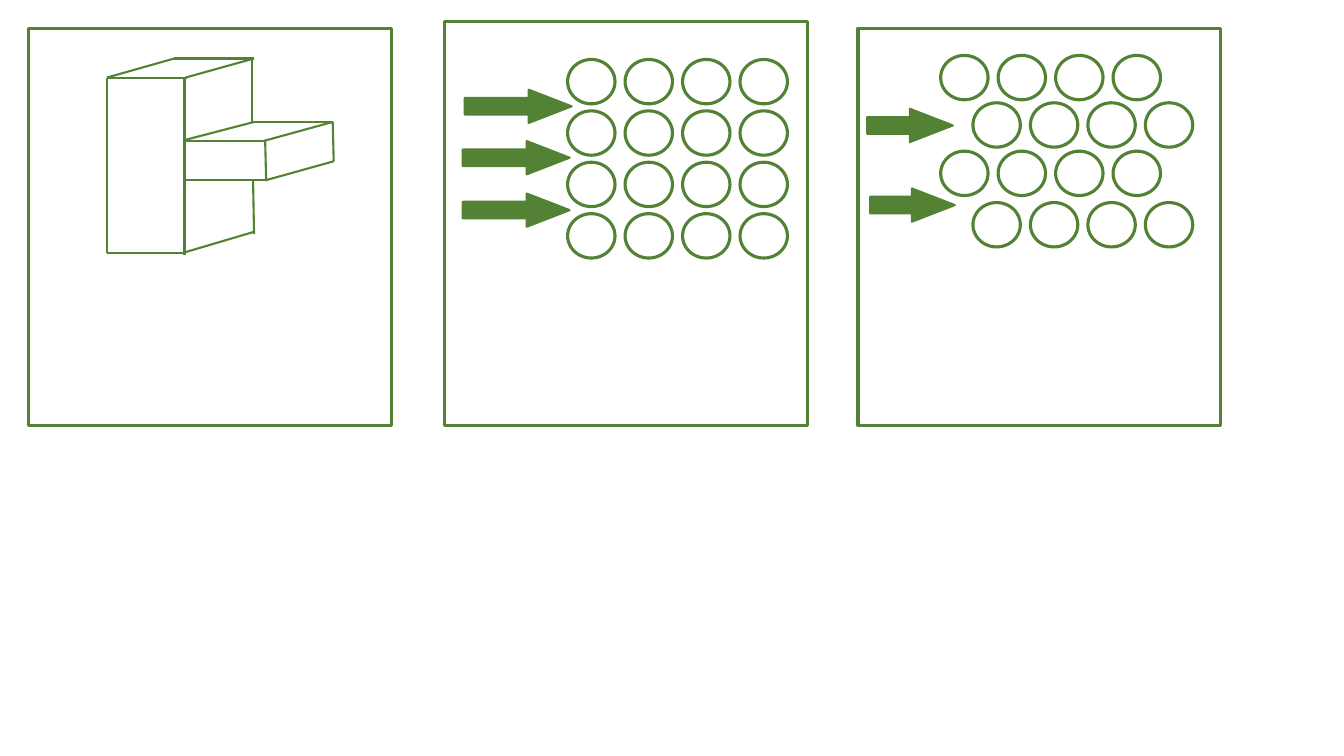
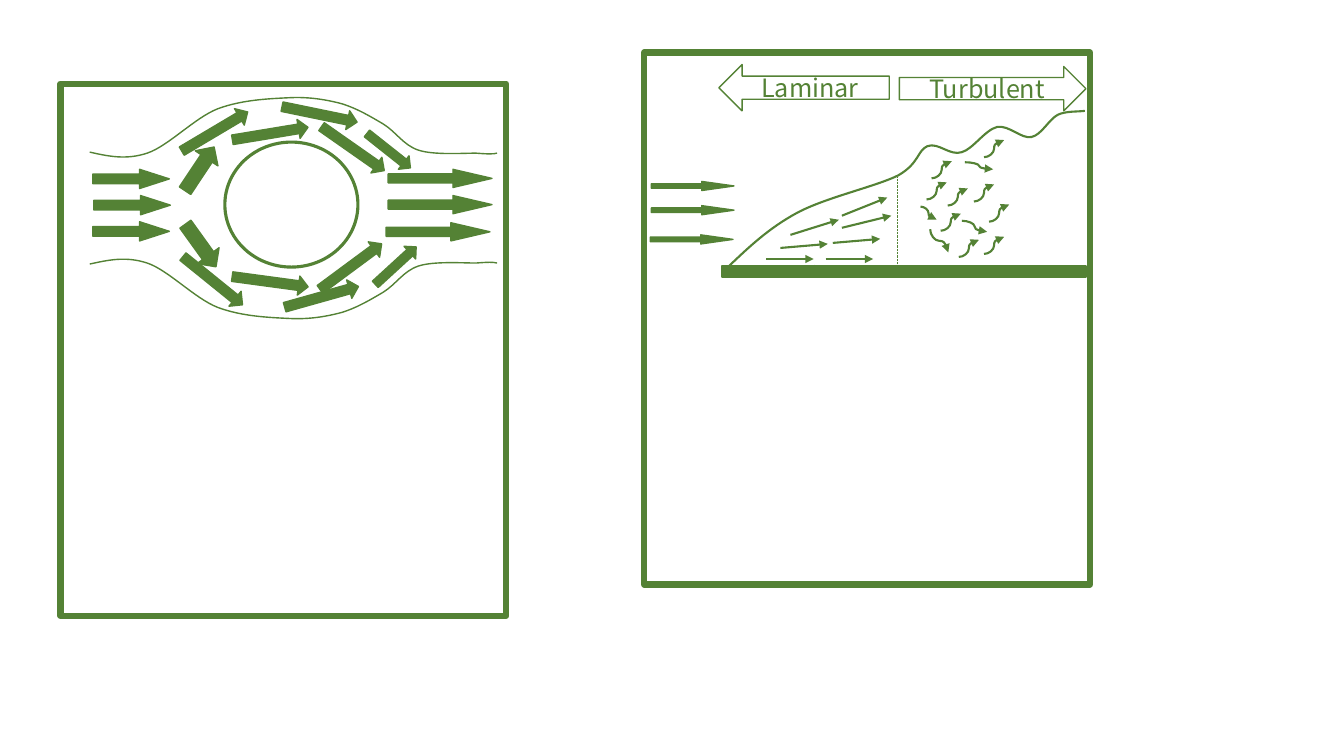
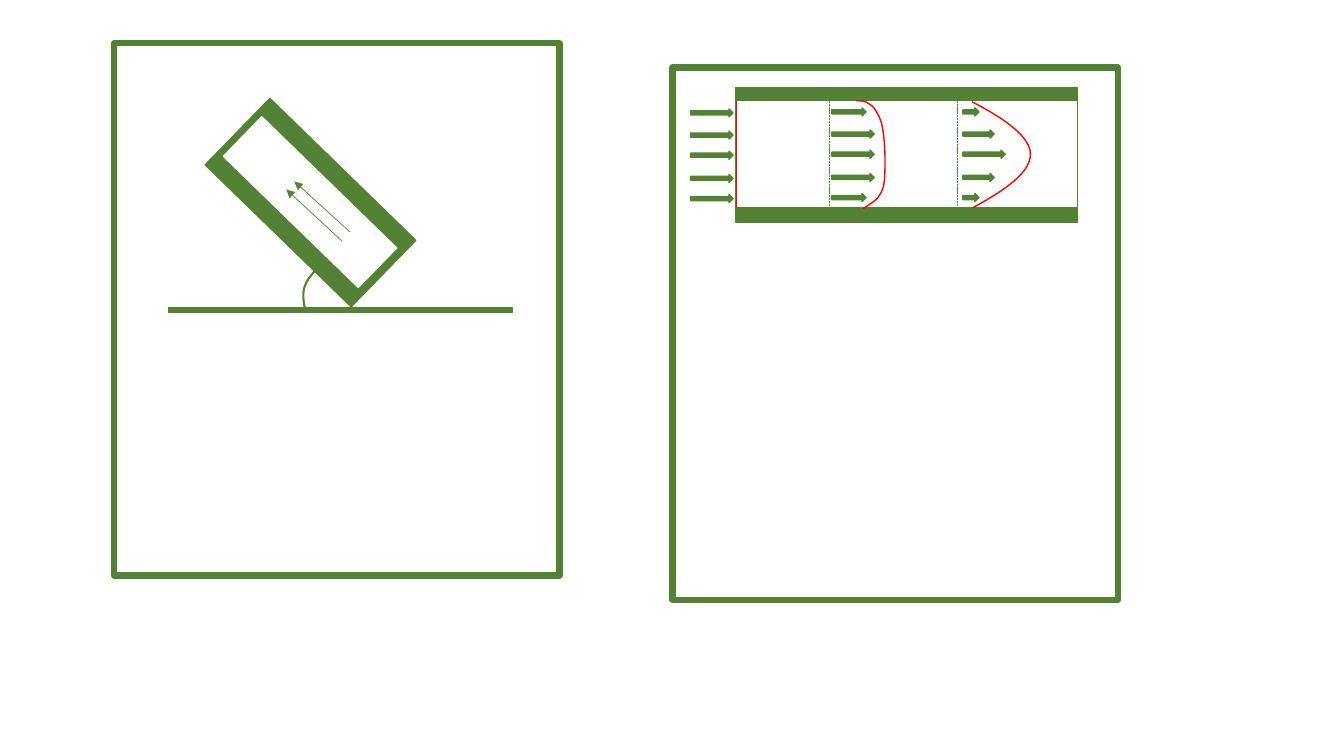
import pptx
import pptx.dml.color
import pptx.enum.dml
import pptx.enum.shapes
import pptx.enum.text
import pptx.oxml
import pptx.oxml.ns
import pptx.util
import lxml.etree

Inches = pptx.util.Inches
RGBColor = pptx.dml.color.RGBColor
SHAPE = pptx.enum.shapes.MSO_SHAPE
CONNECTOR = pptx.enum.shapes.MSO_CONNECTOR
DASH = pptx.enum.dml.MSO_LINE
qn = pptx.oxml.ns.qn

GREEN = RGBColor(0x54, 0x82, 0x35)
RED = RGBColor(0xFF, 0x00, 0x00)
WHITE = RGBColor(0xFF, 0xFF, 0xFF)
FONT = "Noto Sans CJK KR"

TUBE_WIDTH, TUBE_HEIGHT, TUBE_PITCH = 0.47, 0.44, 0.57
LARGE_PANEL = (4.42, 5.28)


def add_box(slide, kind, left, top, width, height, fill=WHITE, line=GREEN,
            weight=1, rotation=0, adjustments=()):
    shape = slide.shapes.add_shape(
        kind, Inches(left), Inches(top), Inches(width), Inches(height))
    shape.shadow.inherit = False
    shape.fill.solid()
    shape.fill.fore_color.rgb = fill
    shape.line.color.rgb = line
    shape.line.width = pptx.util.Pt(weight)
    shape.rotation = rotation
    for index, value in enumerate(adjustments):
        shape.adjustments[index] = value
    return shape


def add_panel(slide, left, top, width, height, weight):
    add_box(slide, SHAPE.RECTANGLE, left, top, width, height, weight=weight)


def add_block_arrow(slide, left, top, width, height, rotation=0, head=0.5, weight=1):
    """Draw a solid right arrow; head is the head length relative to the height."""
    add_box(slide, SHAPE.RIGHT_ARROW, left, top, width, height, fill=GREEN,
            weight=weight, rotation=rotation, adjustments=(0.5, head))


def add_line(slide, start, end, color=GREEN, weight=1.5, dash=None,
             arrow=False, kind=CONNECTOR.STRAIGHT):
    connector = slide.shapes.add_connector(
        kind, *(Inches(value) for value in (*start, *end)))
    connector.line.color.rgb = color
    connector.line.width = pptx.util.Pt(weight)
    if dash is not None:
        connector.line.dash_style = dash
    if arrow:
        line = connector.line._get_or_add_ln()
        lxml.etree.SubElement(line, qn("a:tailEnd")).set("type", "triangle")
    lxml.etree.SubElement(connector._element.spPr, qn("a:effectLst"))
    return connector


def add_curve(slide, points, color=GREEN, weight=1):
    """Draw cubic Bezier segments: a start, then two controls and an end for each."""
    start, *others = [(Inches(x), Inches(y)) for x, y in points]
    builder = slide.shapes.build_freeform(*start)
    builder.add_line_segments(others, close=False)
    shape = builder.convert_to_shape()
    outline = next(shape._element.iter(qn("a:path")))
    segments = outline.findall(qn("a:lnTo"))
    for index in range(0, len(segments), 3):
        cubic = lxml.etree.SubElement(outline, qn("a:cubicBezTo"))
        for segment in segments[index:index + 3]:
            cubic.append(segment[0])
            outline.remove(segment)
    shape.shadow.inherit = False
    shape.fill.background()
    shape.line.color.rgb = color
    shape.line.width = pptx.util.Pt(weight)


def set_text(shape, text, size=18, color=GREEN, font=FONT,
             alignment=pptx.enum.text.PP_ALIGN.CENTER):
    frame = shape.text_frame
    frame.word_wrap = True
    frame.vertical_anchor = pptx.enum.text.MSO_ANCHOR.MIDDLE
    paragraph = frame.paragraphs[0]
    paragraph.alignment = alignment
    run = paragraph.add_run()
    run.text = text
    run.font.size = pptx.util.Pt(size)
    run.font.name = font
    run.font.color.rgb = color


def add_tube_rows(slide, row_starts):
    for left, top in row_starts:
        for column in range(4):
            add_box(slide, SHAPE.OVAL, left + column * TUBE_PITCH, top,
                    TUBE_WIDTH, TUBE_HEIGHT, weight=2.25)


def draw_finned_block(slide):
    add_panel(slide, 0.28, 0.28, 3.6, 3.94, weight=2.25)
    edges = [
        ((1.06, 0.77), (1.06, 2.51)), ((1.06, 0.77), (1.85, 0.77)),
        ((1.06, 0.77), (1.73, 0.58)), ((1.73, 0.58), (2.52, 0.58)),
        ((1.84, 0.77), (2.52, 0.58)), ((1.06, 2.51), (1.83, 2.51)),
        ((1.81, 2.51), (2.52, 2.3)), ((1.84, 1.4), (2.63, 1.4)),
        ((1.83, 2.53), (1.83, 0.77)), ((2.51, 1.21), (3.3, 1.21)),
        ((2.61, 1.4), (3.3, 1.21)), ((2.51, 1.79), (2.52, 2.32)),
        ((2.63, 1.79), (3.31, 1.6)), ((2.64, 1.79), (2.63, 1.4)),
        ((1.84, 1.79), (2.63, 1.79)), ((3.3, 1.21), (3.31, 1.6)),
        ((2.52, 1.21), (1.83, 1.39)), ((2.5, 0.58), (2.5, 1.21)),
    ]
    for start, end in edges:
        add_line(slide, start, end)


def draw_tube_bank(slide, panel, row_starts, arrows):
    add_panel(slide, *panel, weight=2.25)
    add_tube_rows(slide, row_starts)
    for left, top, width in arrows:
        add_block_arrow(slide, left, top, width, 0.33, head=1.29, weight=1.5)


def draw_cylinder_flow(slide):
    add_panel(slide, 0.6, 0.83, *LARGE_PANEL, weight=4.5)
    add_box(slide, SHAPE.OVAL, 2.23, 1.41, 1.32, 1.24, weight=2.25)
    for left, top in ((0.92, 1.68), (0.93, 1.94), (0.92, 2.2)):
        add_block_arrow(slide, left, top, 0.76, 0.19, head=1.55)
    for left, top in ((3.85, 1.68), (3.85, 1.94), (3.83, 2.21)):
        add_block_arrow(slide, left, top, 1.03, 0.18, head=2.15)

    deflected = {
        (0.52, 0.27): [(1.72, 1.54, 303.6), (1.73, 2.3, 54.3)],
        (0.76, 0.19): [
            (2.3, 1.23, 350.6), (3.12, 1.38, 35), (2.3, 2.7, 7.7),
            (3.1, 2.55, 323.5), (2.79, 1.04, 11.6), (2.81, 2.85, 344.3),
            (1.73, 2.69, 39), (1.75, 1.21, 329.3)],
        (0.55, 0.17): [(3.65, 2.55, 317.5), (3.58, 1.41, 38.4)],
    }
    for size, arrows in deflected.items():
        for left, top, rotation in arrows:
            add_block_arrow(slide, left, top, *size, rotation=rotation)

    upper_streamline = [
        (0.89, 1.51), (1.07, 1.55), (1.25, 1.59), (1.46, 1.52),
        (1.67, 1.45), (1.93, 1.17), (2.16, 1.08),
        (2.4, 0.99), (2.67, 0.98), (2.87, 0.97),
        (3.07, 0.96), (3.24, 0.99), (3.39, 1.03),
        (3.55, 1.08), (3.68, 1.16), (3.8, 1.23),
        (3.93, 1.31), (4, 1.44), (4.15, 1.49),
        (4.3, 1.54), (4.59, 1.52), (4.72, 1.52),
        (4.85, 1.53), (4.89, 1.53), (4.93, 1.52),
    ]
    mirror_sum = 4.13
    add_curve(slide, upper_streamline)
    add_curve(slide, [(x, mirror_sum - y) for x, y in upper_streamline])


def draw_eddies(slide):
    rising_starts = [
        (9.24, 1.77), (9.19, 1.98), (9.33, 2.29), (9.4, 2.04), (9.66, 2),
        (9.81, 2.2), (9.76, 2.52), (9.51, 2.55), (9.76, 1.56)]
    eddies = [((x, y), (x + 0.2, y - 0.17)) for x, y in rising_starts]
    eddies += [((9.13, 2.05), (9.29, 2.18)), ((9.54, 2.19), (9.79, 2.3)),
               ((9.57, 1.61), (9.85, 1.68))]
    for start, end in eddies:
        add_line(slide, start, end, arrow=True, kind=CONNECTOR.CURVE)
    falling = add_line(slide, (9.43, 2.3), (9.2, 2.48), arrow=True,
                       kind=CONNECTOR.CURVE)
    falling._element.spPr.find(qn("a:xfrm")).set("rot", str(270 * 60000))


def draw_boundary_layer(slide):
    add_panel(slide, 6.39, 0.52, *LARGE_PANEL, weight=4.5)
    add_box(slide, SHAPE.RECTANGLE, 7.16, 2.64, 3.61, 0.11, fill=GREEN)
    for left, top in ((6.46, 1.8), (6.46, 2.04), (6.45, 2.33)):
        add_block_arrow(slide, left, top, 0.82, 0.09, head=3.55)

    laminar_arrows = [
        ((7.6, 2.57), (8.07, 2.57)), ((7.69, 2.67), (8.16, 2.67)),
        ((8.35, 2.26), (8.84, 2.14)), ((8.35, 2.14), (8.8, 1.96)),
        ((7.84, 2.33), (8.32, 2.18)), ((8.26, 2.41), (8.73, 2.37)),
        ((7.74, 2.46), (8.21, 2.42)), ((8.19, 2.57), (8.66, 2.57)),
    ]
    for start, end in laminar_arrows:
        add_line(slide, start, end, arrow=True)

    layer_edge = [
        (7.23, 2.64), (7.43, 2.45), (7.63, 2.26), (7.91, 2.11),
        (8.19, 1.96), (8.69, 1.85), (8.91, 1.74),
        (9.12, 1.62), (9.1, 1.49), (9.2, 1.45),
        (9.31, 1.41), (9.42, 1.55), (9.54, 1.51),
        (9.65, 1.48), (9.77, 1.29), (9.89, 1.26),
        (10.01, 1.24), (10.13, 1.38), (10.23, 1.36),
        (10.33, 1.34), (10.4, 1.19), (10.49, 1.14),
        (10.57, 1.1), (10.7, 1.11), (10.76, 1.1),
    ]
    add_curve(slide, layer_edge, weight=1.5)
    draw_eddies(slide)
    turbulent = add_box(slide, SHAPE.RIGHT_ARROW, 8.92, 0.66, 1.85, 0.44)
    set_text(turbulent, "Turbulent")
    laminar = add_box(slide, SHAPE.LEFT_ARROW, 7.13, 0.64, 1.69, 0.46)
    set_text(laminar, "Laminar")
    add_line(slide, (8.9, 1.76), (8.9, 2.67), weight=0.5, dash=DASH.ROUND_DOT)


def draw_tilted_tube(slide):
    add_panel(slide, 1.13, 0.43, *LARGE_PANEL, weight=4.5)
    add_box(slide, SHAPE.RECTANGLE, 1.67, 3.05, 3.41, 0.05, fill=GREEN)
    tilt = 314.2
    add_box(slide, SHAPE.RECTANGLE, 2.62, 1, 0.92, 2.02, fill=GREEN, rotation=tilt)
    add_box(slide, SHAPE.RECTANGLE, 2.8, 1.07, 0.55, 1.87, line=WHITE,
            weight=0.75, rotation=tilt)
    angle_arc = [(3.03, 3.08), (3.01, 3.01), (3, 2.91), (3.02, 2.85),
                 (3.04, 2.78), (3.08, 2.74), (3.13, 2.68)]
    add_curve(slide, angle_arc, weight=1.5)
    for start, end in (((3.47, 2.3), (2.92, 1.8)), ((3.39, 2.39), (2.84, 1.88))):
        add_line(slide, start, end, weight=0.5, arrow=True)


def draw_pipe_profiles(slide):
    add_panel(slide, 6.67, 0.67, *LARGE_PANEL, weight=4.5)
    pipe_left, pipe_width = 7.3, 3.39
    for top, height, fill in ((0.88, 1.33, WHITE), (0.87, 0.13, GREEN), (2.06, 0.14, GREEN)):
        add_box(slide, SHAPE.RECTANGLE, pipe_left, top, pipe_width, height, fill=fill)

    arrow_tops = (1.07, 1.29, 1.49, 1.72, 1.92)
    profiles = [
        (6.85, 0.01, (0.42, 0.42, 0.42, 0.42, 0.42)),
        (8.25, 0, (0.34, 0.42, 0.42, 0.42, 0.34)),
        (9.55, 0, (0.16, 0.31, 0.42, 0.31, 0.16)),
    ]
    for left, drop, widths in profiles:
        for top, width in zip(arrow_tops, widths):
            add_block_arrow(slide, left, top + drop, width, 0.08)
    for x in (8.23, 9.5):
        add_line(slide, (x, 1), (x, 2.06), weight=0.5, dash=DASH.SQUARE_DOT)

    developing_profile = [
        (8.49, 1), (8.54, 1), (8.58, 1), (8.62, 1.03),
        (8.66, 1.05), (8.69, 1.1), (8.72, 1.16),
        (8.75, 1.22), (8.76, 1.3), (8.77, 1.41),
        (8.78, 1.51), (8.78, 1.71), (8.77, 1.8),
        (8.76, 1.9), (8.73, 1.92), (8.7, 1.97),
        (8.66, 2.01), (8.56, 2.07), (8.56, 2.07),
    ]
    developed_profile = [
        (9.64, 1.01), (9.97, 1.18), (10.22, 1.36), (10.22, 1.53),
        (10.22, 1.71), (9.98, 1.88), (9.65, 2.06),
    ]
    for profile in (developing_profile, developed_profile):
        add_curve(slide, profile, color=RED)
    add_line(slide, (pipe_left, 2.06), (pipe_left, 1), color=RED, weight=0.5)


def main():
    presentation = pptx.Presentation()
    presentation.slide_width = Inches(13.33)
    presentation.slide_height = Inches(7.5)
    blank = presentation.slide_layouts[6]

    slide = presentation.slides.add_slide(blank)
    draw_finned_block(slide)
    draw_tube_bank(
        slide, (4.41, 0.21, 3.6, 4.01),
        row_starts=[(5.63, 0.59 + row * 0.51) for row in range(4)],
        arrows=[(4.61, 0.89, 1.06), (4.59, 1.4, 1.06), (4.59, 1.92, 1.06)])
    draw_tube_bank(
        slide, (8.51, 0.28, 3.6, 3.94),
        row_starts=[(9.33, 0.55), (9.65, 1.02), (9.33, 1.5), (9.65, 2.01)],
        arrows=[(8.6, 1.08, 0.85), (8.63, 1.87, 0.84)])

    slide = presentation.slides.add_slide(blank)
    draw_cylinder_flow(slide)
    draw_boundary_layer(slide)

    slide = presentation.slides.add_slide(blank)
    draw_tilted_tube(slide)
    draw_pipe_profiles(slide)

    presentation.save("out.pptx")


if __name__ == "__main__":
    main()
